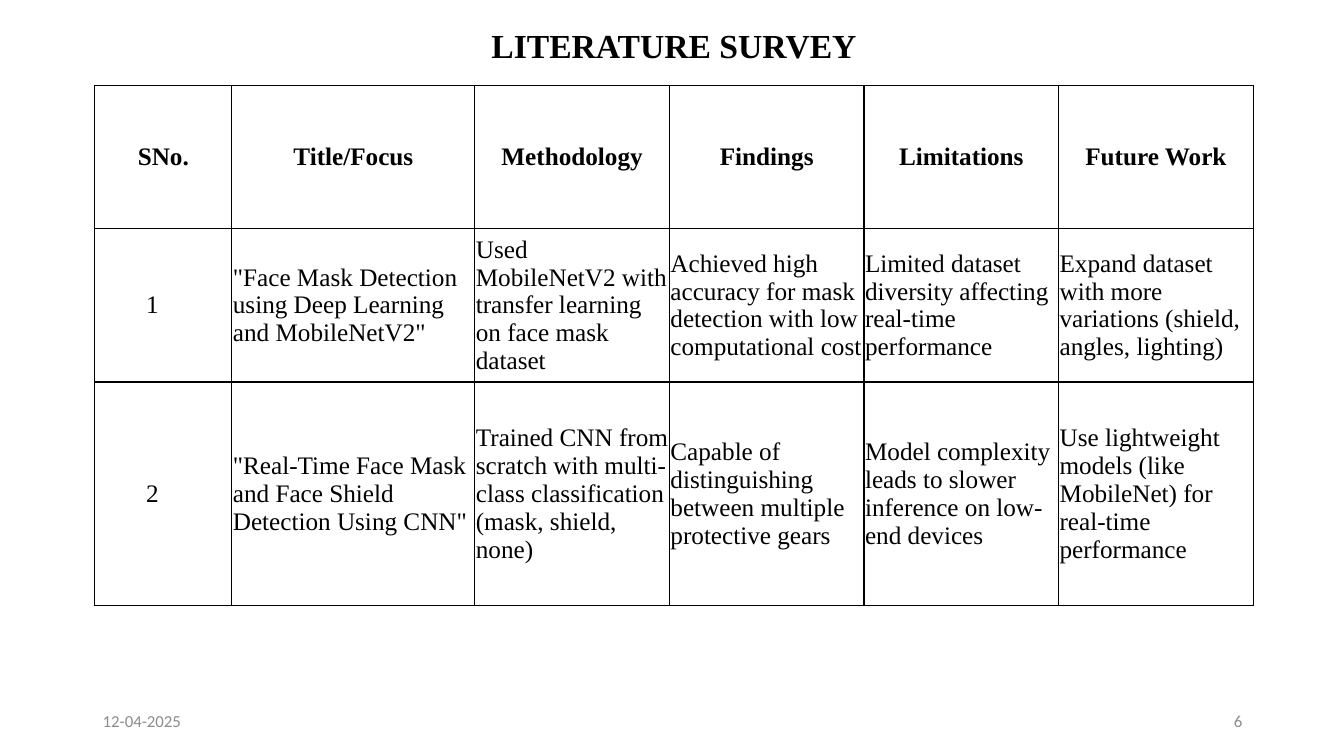
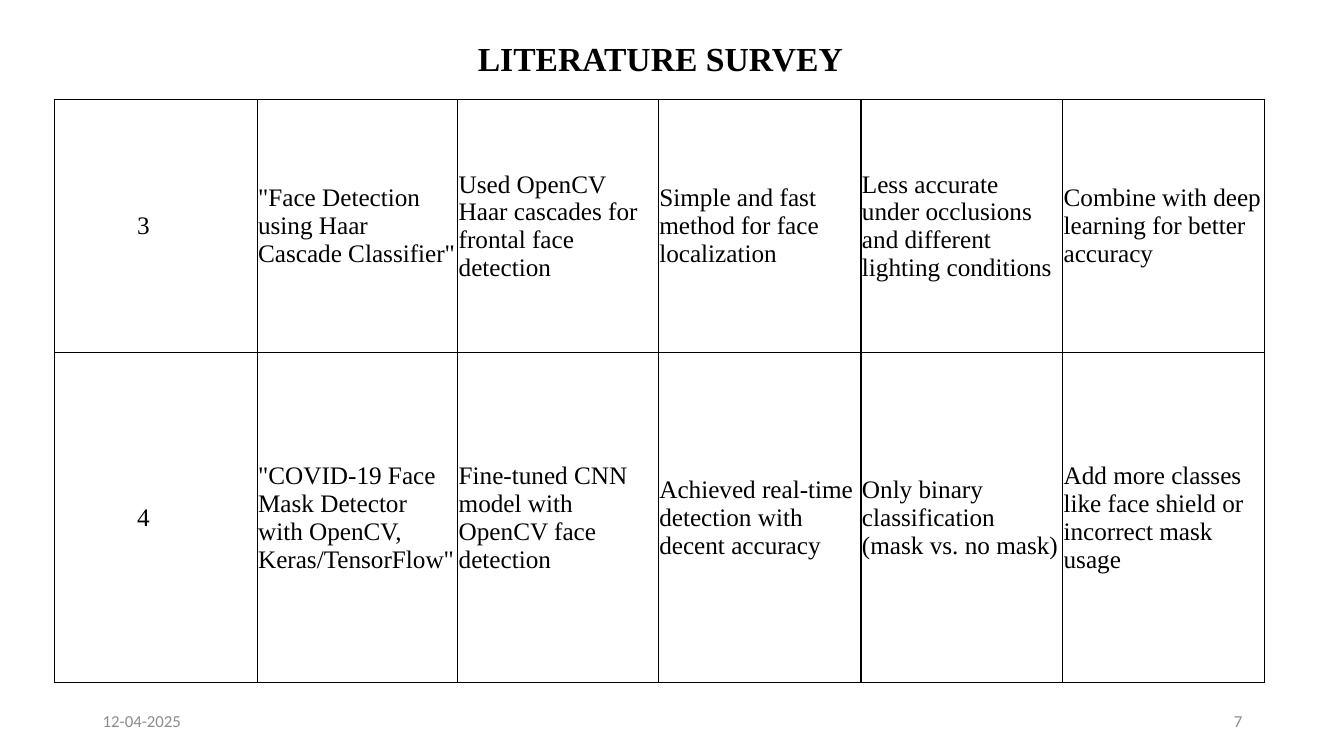
from lxml import etree
from pptx import Presentation, util as u
from pptx.dml.color import RGBColor
from pptx.enum import text
from pptx.oxml.ns import qn

PX = 9144  # 100 px to the inch
COLOURS = {"ink": "000000", "paper": "FFFFFF", "footer": "8C8C8C"}
SERIF, SANS = "Times New Roman", "Calibri"
LEFT, CENTRE, RIGHT = text.PP_ALIGN.LEFT, text.PP_ALIGN.CENTER, text.PP_ALIGN.RIGHT
TOP, MIDDLE = text.MSO_ANCHOR.TOP, text.MSO_ANCHOR.MIDDLE

# Content
TITLE = "LITERATURE SURVEY"
DATE = "12-04-2025"
HEADER = ["SNo.", "Title/Focus", "Methodology", "Findings", "Limitations", "Future Work"]
SLIDES = [
    {
        "number": "6",
        "title_at": (335, 20, 667, 50),
        "table_at": (94, 85),
        "columns": [136, 241] + [193] * 4,
        "row_heights": [142, 150, 222],
        "number_indent": 51,
        "header": HEADER,
        "studies": [
            ["1", '"Face Mask Detection using Deep Learning and MobileNetV2"',
             "Used MobileNetV2 with transfer learning on face mask dataset",
             "Achieved high accuracy for mask detection with low computational cost",
             "Limited dataset diversity affecting real-time performance",
             "Expand dataset with more variations (shield, angles, lighting)"],
            ["2", '"Real-Time Face Mask and Face Shield Detection Using CNN"',
             "Trained CNN from scratch with multi-class classification (mask, shield, none)",
             "Capable of distinguishing between multiple protective gears",
             "Model complexity leads to slower inference on low-end devices",
             "Use lightweight models (like MobileNet) for real-time performance"],
        ],
    },
    {
        "number": "7",
        "title_at": (380, 33, 550, 50),
        "table_at": (54, 99),
        "columns": [201, 199, 199, 201, 200, 200],
        "row_heights": [251, 327],
        "number_indent": 82,
        "header": None,
        "studies": [
            ["3", '"Face Detection using Haar Cascade Classifier"',
             "Used OpenCV Haar cascades for frontal face detection",
             "Simple and fast method for face localization",
             "Less accurate under occlusions and different lighting conditions",
             "Combine with deep learning for better accuracy"],
            ["4", '"COVID-19 Face Mask Detector with OpenCV, Keras/TensorFlow"',
             "Fine-tuned CNN model with OpenCV face detection",
             "Achieved real-time detection with decent accuracy",
             "Only binary classification (mask vs. no mask)",
             "Add more classes like face shield or incorrect mask usage"],
        ],
    },
]


def px(*lengths):
    return [u.Emu(length * PX) for length in lengths]


def write(frame, words, size, font, colour, align=LEFT, bold=False):
    para = frame.paragraphs[0]
    para.alignment = align
    span = para.add_run()
    span.text = words
    span.font.size = u.Pt(size)
    span.font.name = font
    span.font.bold = bold
    span.font.color.rgb = RGBColor.from_string(COLOURS[colour])


def add_text(page, at, words, anchor, *style):
    frame = page.shapes.add_textbox(*px(*at)).text_frame
    frame.word_wrap = True
    frame.vertical_anchor = anchor
    write(frame, words, *style)


def add_borders(cell):
    properties = cell._tc.get_or_add_tcPr()
    for place, side in enumerate(("a:lnL", "a:lnR", "a:lnT", "a:lnB")):
        line = etree.Element(qn(side), w=str(u.Pt(1)))
        fill = etree.SubElement(line, qn("a:solidFill"))
        etree.SubElement(fill, qn("a:srgbClr"), val=COLOURS["ink"])
        properties.insert(place, line)


def add_survey(page, data):
    header = [data["header"]] if data["header"] else []
    rows = header + data["studies"]
    widths, heights = data["columns"], data["row_heights"]
    at = px(*data["table_at"], sum(widths), sum(heights))
    table = page.shapes.add_table(len(rows), len(widths), *at).table
    table.first_row = table.horz_banding = False
    for column, width in zip(table.columns, px(*widths)):
        column.width = width
    for row, height in zip(table.rows, px(*heights)):
        row.height = height

    for r, words in enumerate(rows):
        is_header = r < len(header)
        for c, entry in enumerate(words):
            cell = table.cell(r, c)
            is_number = c == 0 and not is_header
            indent = data["number_indent"] if is_number else 1
            cell.margin_left, cell.margin_right, cell.margin_top, cell.margin_bottom = px(indent, 1, 1, 1)
            cell.vertical_anchor = MIDDLE
            cell.fill.background()
            add_borders(cell)
            write(cell.text_frame, entry, 18, SERIF, "ink",
                  CENTRE if is_header else LEFT, is_header)


def add_page(deck, data):
    page = deck.slides.add_slide(deck.slide_layouts[6])
    page.background.fill.solid()
    page.background.fill.fore_color.rgb = RGBColor.from_string(COLOURS["paper"])
    # Footer
    for left, words, align in ((92, DATE, LEFT), (942, data["number"], RIGHT)):
        add_text(page, (left, 695, 300, 40), words, MIDDLE, 12, SANS, "footer", align)
    # Title and table
    add_text(page, data["title_at"], TITLE, TOP, 24, SERIF, "ink", CENTRE, True)
    add_survey(page, data)


def main():
    deck = Presentation()
    deck.slide_width, deck.slide_height = px(1333, 750)
    for data in SLIDES:
        add_page(deck, data)
    deck.save("out.pptx")


if __name__ == "__main__":
    main()
